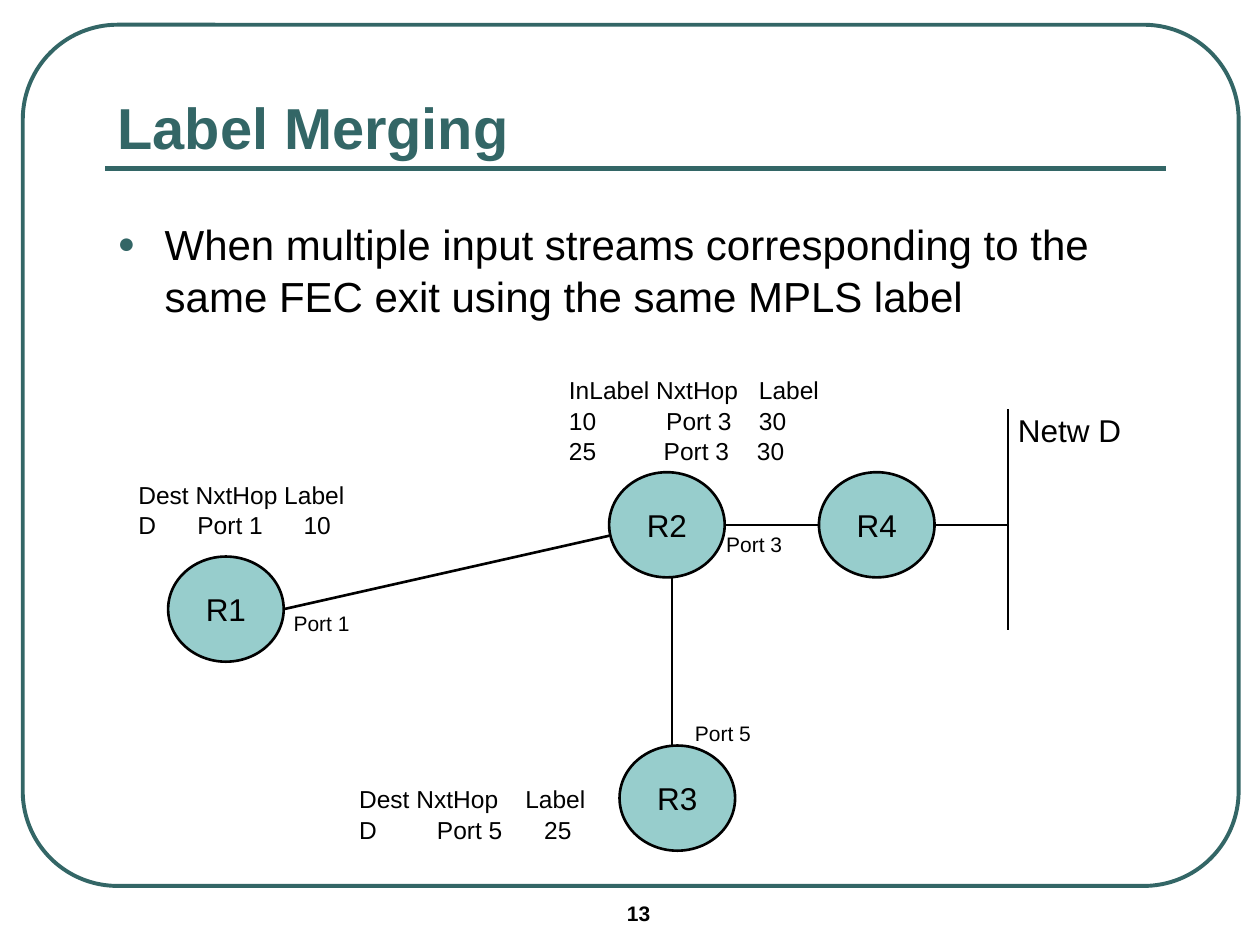
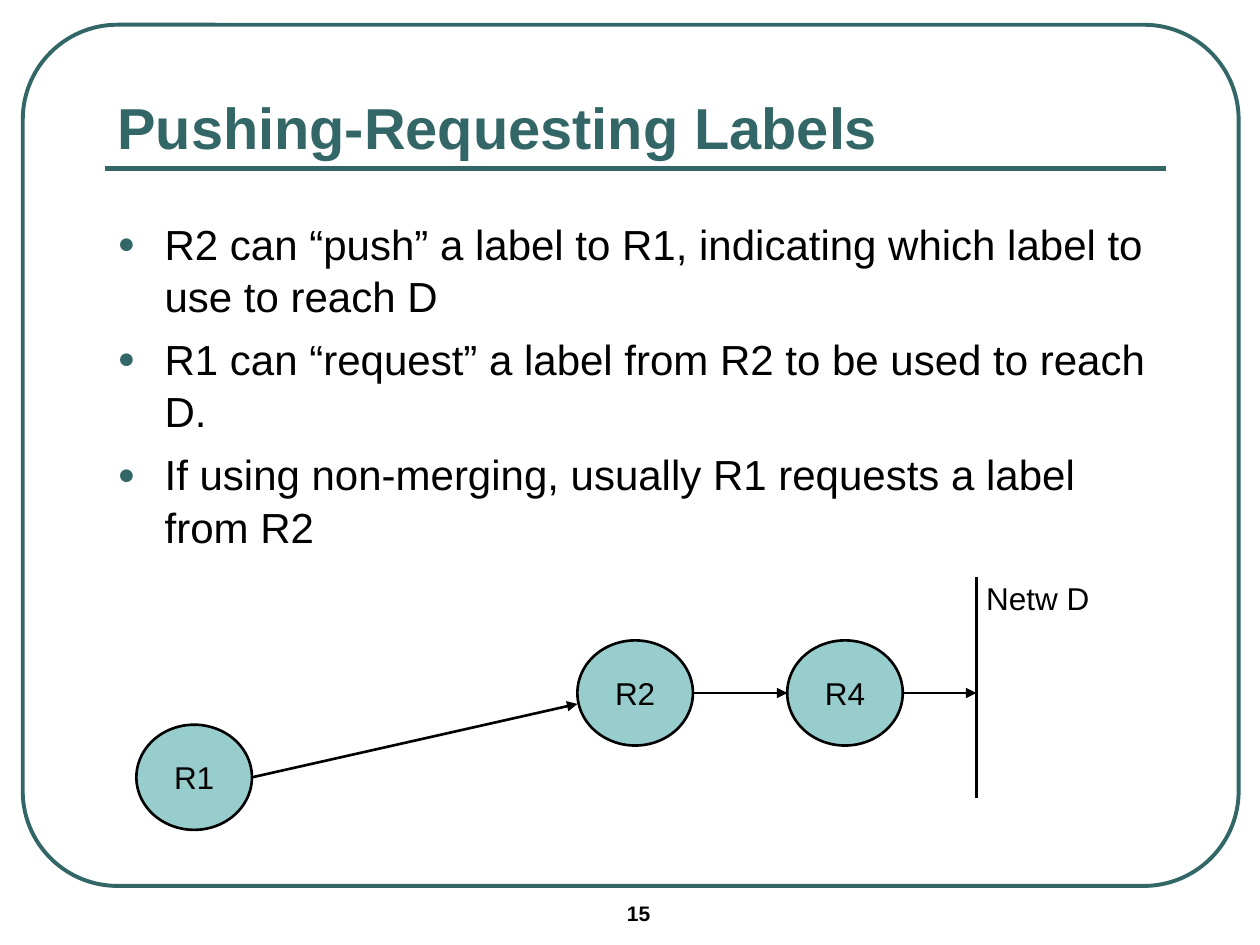
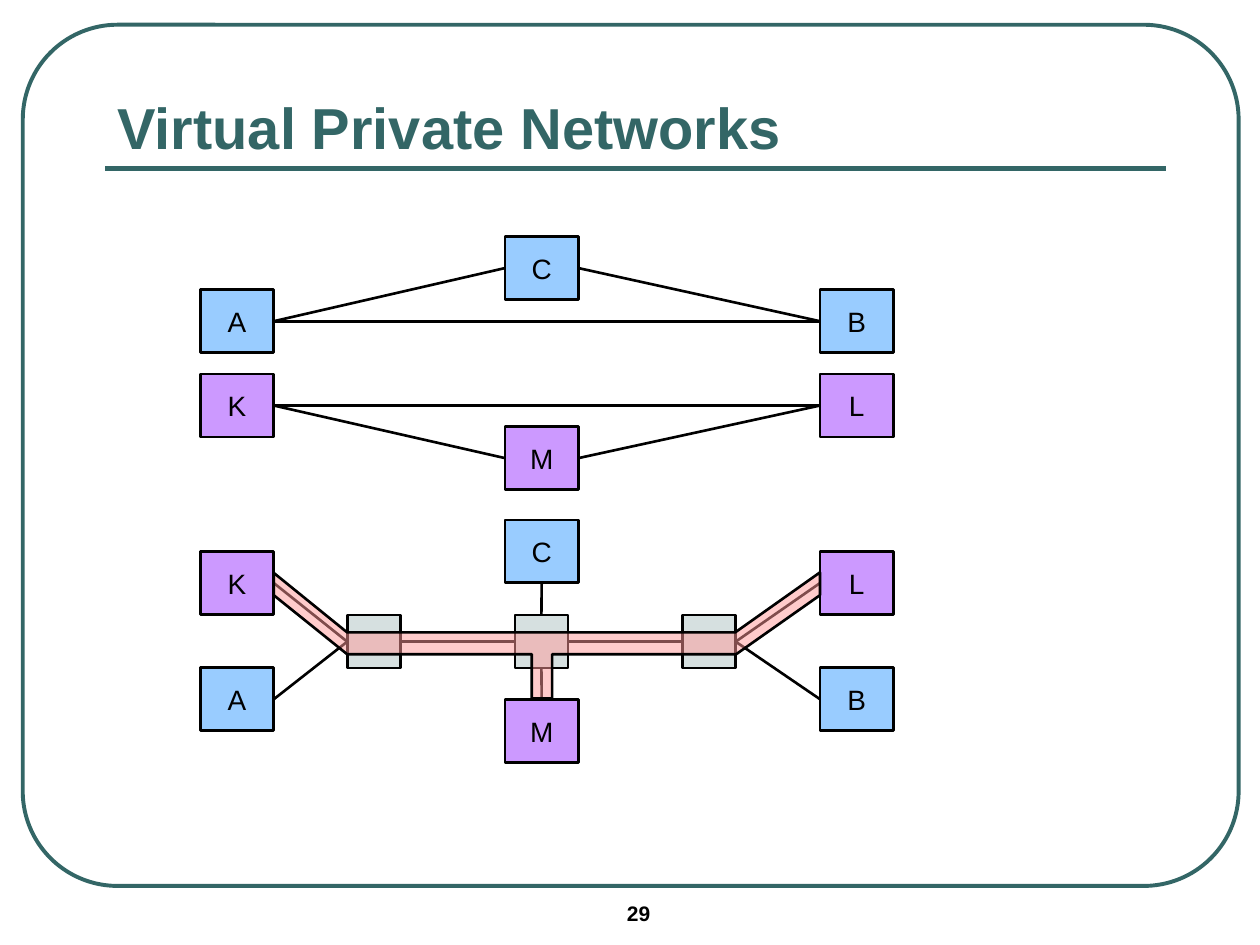
from dataclasses import dataclass
from typing import Any

from lxml.etree import SubElement
from pptx import Presentation
from pptx.dml.color import RGBColor
from pptx.enum.shapes import MSO_CONNECTOR, MSO_SHAPE
from pptx.enum.text import MSO_ANCHOR, PP_ALIGN
from pptx.oxml.ns import qn
from pptx.util import Cm, Pt

HUES = {
    "teal": "336666",
    "black": "000000",
    "aqua": "97CDCC",
    "blue": "99CCFF",
    "plum": "CC99FF",
    "gray": "D6E0E0",
    "pink": "FF9999",
}
FONT = "Arial"
TOP, LEFT, BASE, RIGHT = range(4)
NODE_W, NODE_H = 2.33, 2.12


@dataclass(frozen=True)
class Area:
    x: float
    y: float
    w: float
    h: float


@dataclass(frozen=True)
class Row:
    text: str
    tabs: tuple[float, ...] = ()


@dataclass(frozen=True)
class Node:
    name: str
    x: float
    y: float


@dataclass(frozen=True)
class Site:
    name: str
    x: float
    y: float
    hue: str


@dataclass(frozen=True)
class Link:
    start: str
    out: int
    end: str
    into: int


@dataclass(frozen=True)
class Line:
    x1: float
    y1: float
    x2: float
    y2: float
    arrow: bool = False


TITLE = Area(2.12, 1.48, 21.38, 1.9)
NODES = [Node("R1", 3.39, 11.22), Node("R2", 12.28, 9.52), Node("R4", 16.51, 9.52)]
LINES = [
    Line(5.72, 12.28, 12.28, 10.8, True),
    Line(14.61, 10.58, 16.51, 10.58, True),
    Line(18.84, 10.58, 20.32, 10.58, True),
    Line(20.32, 8.25, 20.32, 12.7),
]

COL_A, COL_B, COL_C = 4.04, 10.18, 16.53
UPPER = [
    Site("C", COL_B, 4.77, "blue"),
    Site("A", COL_A, 5.84, "blue"),
    Site("B", COL_C, 5.84, "blue"),
    Site("M", COL_B, 8.6, "plum"),
    Site("K", COL_A, 7.54, "plum"),
    Site("L", COL_C, 7.54, "plum"),
]
LOWER = [
    Site("C", COL_B, 10.48, "blue"),
    Site("A", COL_A, 13.46, "blue"),
    Site("B", COL_C, 13.46, "blue"),
    Site("M", COL_B, 14.1, "plum"),
    Site("K", COL_A, 11.12, "plum"),
    Site("L", COL_C, 11.12, "plum"),
]
DIRECT = [
    Link(start, RIGHT, end, LEFT)
    for start, end in ("AC", "CB", "AB", "KM", "ML", "KL")
]
SHARED = [
    Link("hub0", RIGHT, "hub1", LEFT),
    Link("hub1", RIGHT, "hub2", LEFT),
    Link("A", RIGHT, "hub0", LEFT),
    Link("K", RIGHT, "hub0", LEFT),
    Link("hub2", RIGHT, "B", LEFT),
    Link("hub2", RIGHT, "L", LEFT),
    Link("C", BASE, "hub1", TOP),
    Link("hub1", BASE, "M", TOP),
]
PIPE = [
    (5.52, 12), (7, 13.19), (10.72, 13.19), (10.72, 14.08), (11.13, 14.08),
    (11.13, 13.19), (14.84, 13.19), (16.53, 12), (16.53, 11.54),
    (14.82, 12.75), (7, 12.75), (5.52, 11.55),
]


def tint(name: str) -> RGBColor:
    return RGBColor.from_string(HUES[name])


def write(
    shape: Any,
    *rows: Row | str,
    size: float = 18,
    hue: str = "black",
    bold: bool = False,
    align: PP_ALIGN = PP_ALIGN.LEFT,
    anchor: MSO_ANCHOR = MSO_ANCHOR.TOP,
    bullet: bool = False,
) -> None:
    frame = shape.text_frame
    frame.word_wrap = True
    frame.vertical_anchor = anchor
    frame.margin_left = Cm(0.25)
    frame.margin_right = Cm(0.25 if align == PP_ALIGN.CENTER or bullet else 0)
    frame.margin_top = frame.margin_bottom = Cm(0.13)
    for i, row in enumerate(rows):
        if isinstance(row, str):
            row = Row(row)
        para = frame.paragraphs[0] if i == 0 else frame.add_paragraph()
        props = para._p.get_or_add_pPr()
        if bullet:
            props.set("marL", str(Cm(0.95)))
            props.set("indent", str(-Cm(0.95)))
            paint = SubElement(props, qn("a:buClr"))
            SubElement(paint, qn("a:srgbClr"), val=HUES["teal"])
            SubElement(props, qn("a:buSzPct"), val="70000")
            SubElement(props, qn("a:buFont"), typeface=FONT)
            SubElement(props, qn("a:buChar"), char="●")
        if row.tabs:
            stops = SubElement(props, qn("a:tabLst"))
            for stop in row.tabs:
                SubElement(stops, qn("a:tab"), pos=str(Cm(stop)), algn="l")
        para.alignment = align
        if bullet or len(rows) > 1:
            para.line_spacing = 1.04
        if bullet and i:
            para.space_before = Pt(6)
        run = para.add_run()
        run.text = row.text
        run.font.name = FONT
        run.font.size = Pt(size)
        run.font.bold = bold
        run.font.color.rgb = tint(hue)


def label(slide: Any, area: Area, *rows: Row | str, **style: Any) -> None:
    box = slide.shapes.add_textbox(Cm(area.x), Cm(area.y), Cm(area.w), Cm(area.h))
    write(box, *rows, **style)


def dress(shape: Any, fill: str | None, edge: str = "black", width: float = 1.5) -> None:
    shape.shadow.inherit = False
    if fill:
        shape.fill.solid()
        shape.fill.fore_color.rgb = tint(fill)
    else:
        shape.fill.background()
    shape.line.color.rgb = tint(edge)
    shape.line.width = Pt(width)


def block(slide: Any, kind: MSO_SHAPE, area: Area, fill: str | None, **look: Any) -> Any:
    shape = slide.shapes.add_shape(kind, Cm(area.x), Cm(area.y), Cm(area.w), Cm(area.h))
    dress(shape, fill, **look)
    return shape


def stroke(slide: Any, line: Line, hue: str = "black", width: float = 1.5) -> Any:
    wire = slide.shapes.add_connector(
        MSO_CONNECTOR.STRAIGHT, Cm(line.x1), Cm(line.y1), Cm(line.x2), Cm(line.y2)
    )
    wire.line.color.rgb = tint(hue)
    wire.line.width = Pt(width)
    props = wire._element.spPr
    if line.arrow:
        SubElement(props.find(qn("a:ln")), qn("a:tailEnd"), type="triangle")
    SubElement(props, qn("a:effectLst"))
    return wire


def start(deck: Any, title: str, page: int) -> Any:
    slide = deck.slides.add_slide(deck.slide_layouts[6])
    frame = block(
        slide, MSO_SHAPE.ROUNDED_RECTANGLE, Area(0.46, 0.5, 24.51, 17.36), None,
        edge="teal", width=2.25,
    )
    frame.adjustments[0] = 0.11
    stroke(slide, Line(2.12, 3.39, 23.5, 3.39), "teal", 3)
    label(slide, Area(12.39, 18.03, 2.97, 0.85), str(page), size=12, bold=True)
    label(
        slide, TITLE, title, size=33, hue="teal", bold=True, anchor=MSO_ANCHOR.BOTTOM
    )
    return slide


def points(slide: Any, height: float, *rows: str) -> None:
    label(slide, Area(2.12, 4.23, 21.38, height), *rows, size=24, bullet=True)


def circle(slide: Any, node: Node, dx: float = 0, dy: float = 0) -> None:
    area = Area(node.x + dx, node.y + dy, NODE_W, NODE_H)
    shape = block(slide, MSO_SHAPE.OVAL, area, "aqua")
    write(shape, node.name, align=PP_ALIGN.CENTER, anchor=MSO_ANCHOR.MIDDLE)


def route(slide: Any, dx: float = 0, dy: float = 0, arrows: bool = False) -> None:
    for node in NODES:
        circle(slide, node, dx, dy)
    for line in LINES:
        stroke(slide, Line(
            line.x1 + dx, line.y1 + dy, line.x2 + dx, line.y2 + dy,
            arrows and line.arrow,
        ))
    label(slide, Area(20.27 + dx, 8.15 + dy, 2.59, 1.02), "Netw D")


def place(slide: Any, sites: list[Site]) -> dict[str, Any]:
    made = {}
    for site in sites:
        area = Area(site.x, site.y, 1.48, 1.27)
        shape = block(slide, MSO_SHAPE.RECTANGLE, area, site.hue)
        write(
            shape, site.name, size=16, align=PP_ALIGN.CENTER, anchor=MSO_ANCHOR.MIDDLE
        )
        made[site.name] = shape
    return made


def join(slide: Any, made: dict[str, Any], links: list[Link]) -> None:
    for link in links:
        wire = stroke(slide, Line(0, 0, 1, 1))
        wire.begin_connect(made[link.start], link.out)
        wire.end_connect(made[link.end], link.into)


def pipe(slide: Any) -> None:
    spots = [(Cm(x), Cm(y)) for x, y in PIPE]
    maker = slide.shapes.build_freeform(*spots[0])
    maker.add_line_segments(spots[1:], close=True)
    shape = maker.convert_to_shape()
    dress(shape, "pink")
    paint = shape._element.spPr.find(qn("a:solidFill"))
    SubElement(paint[0], qn("a:alpha"), val="50000")


def merging(deck: Any) -> None:
    slide = start(deck, "Label Merging", 13)
    points(
        slide, 2.54,
        "When multiple input streams corresponding to the same FEC exit "
        "using the same MPLS label",
    )
    label(
        slide, Area(2.54, 9.52, 4.65, 1.45),
        Row("Dest NxtHop Label"), Row("D\tPort 1\t10", (1.19, 3.33)), size=14,
    )
    label(
        slide, Area(6.99, 15.66, 5.08, 1.45),
        Row("Dest NxtHop\tLabel", (3.35,)), Row("D\tPort 5\t25", (1.57, 3.73)), size=14,
    )
    label(
        slide, Area(11.22, 7.41, 5.72, 2.03),
        Row("InLabel NxtHop\tLabel", (3.83,)),
        Row("10\tPort 3\t30", (1.96, 3.83)),
        Row("25\tPort 3\t30", (1.91, 3.79)),
        size=14,
    )
    route(slide)
    circle(slide, Node("R3", 12.49, 15.03))
    stroke(slide, Line(13.55, 15.03, 13.55, 11.64))
    for port, x, y in ((1, 5.67, 12.17), (3, 14.39, 10.58), (5, 13.76, 14.39)):
        label(slide, Area(x, y, 1.63, 0.76), f"Port {port}", size=12)


def pushing(deck: Any) -> None:
    slide = start(deck, "Pushing-Requesting Labels", 15)
    points(
        slide, 12.28,
        "R2 can “push” a label to R1, indicating which label to use to reach D",
        "R1 can “request” a label from R2 to be used to reach D.",
        "If using non-merging, usually R1 requests a label from R2",
    )
    route(slide, -0.64, 3.39, True)


def private(deck: Any) -> None:
    slide = start(deck, "Virtual Private Networks", 29)
    join(slide, place(slide, UPPER), DIRECT)
    hubs = {
        f"hub{i}": block(
            slide, MSO_SHAPE.RECTANGLE, Area(7 + 3.38 * i, 12.4, 1.07, 1.07), "gray"
        )
        for i in range(3)
    }
    join(slide, hubs | place(slide, LOWER), SHARED)
    pipe(slide)


def main() -> None:
    deck = Presentation()
    deck.slide_width = Cm(25.4)
    deck.slide_height = Cm(19.05)
    merging(deck)
    pushing(deck)
    private(deck)
    deck.save("out.pptx")


if __name__ == "__main__":
    main()
